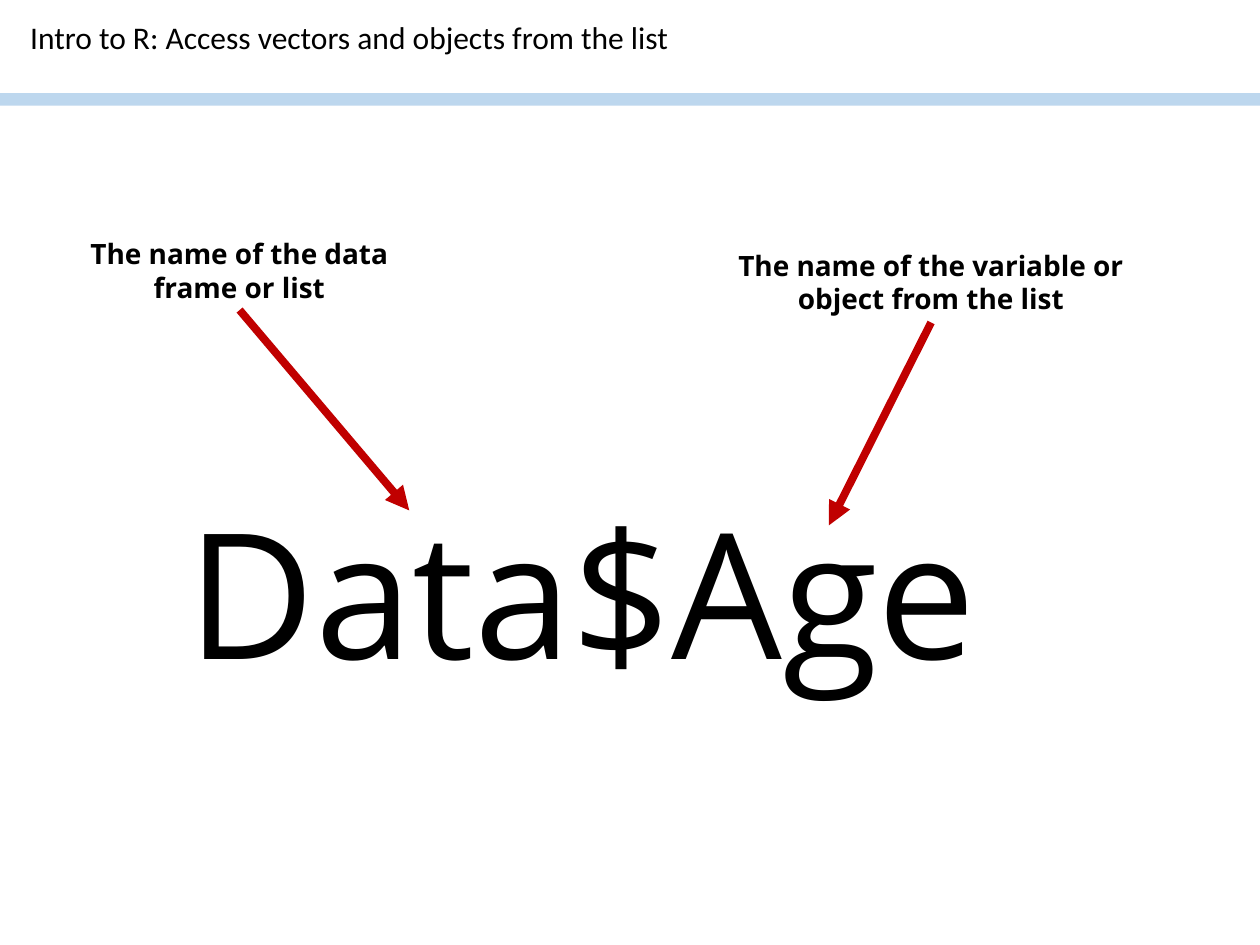
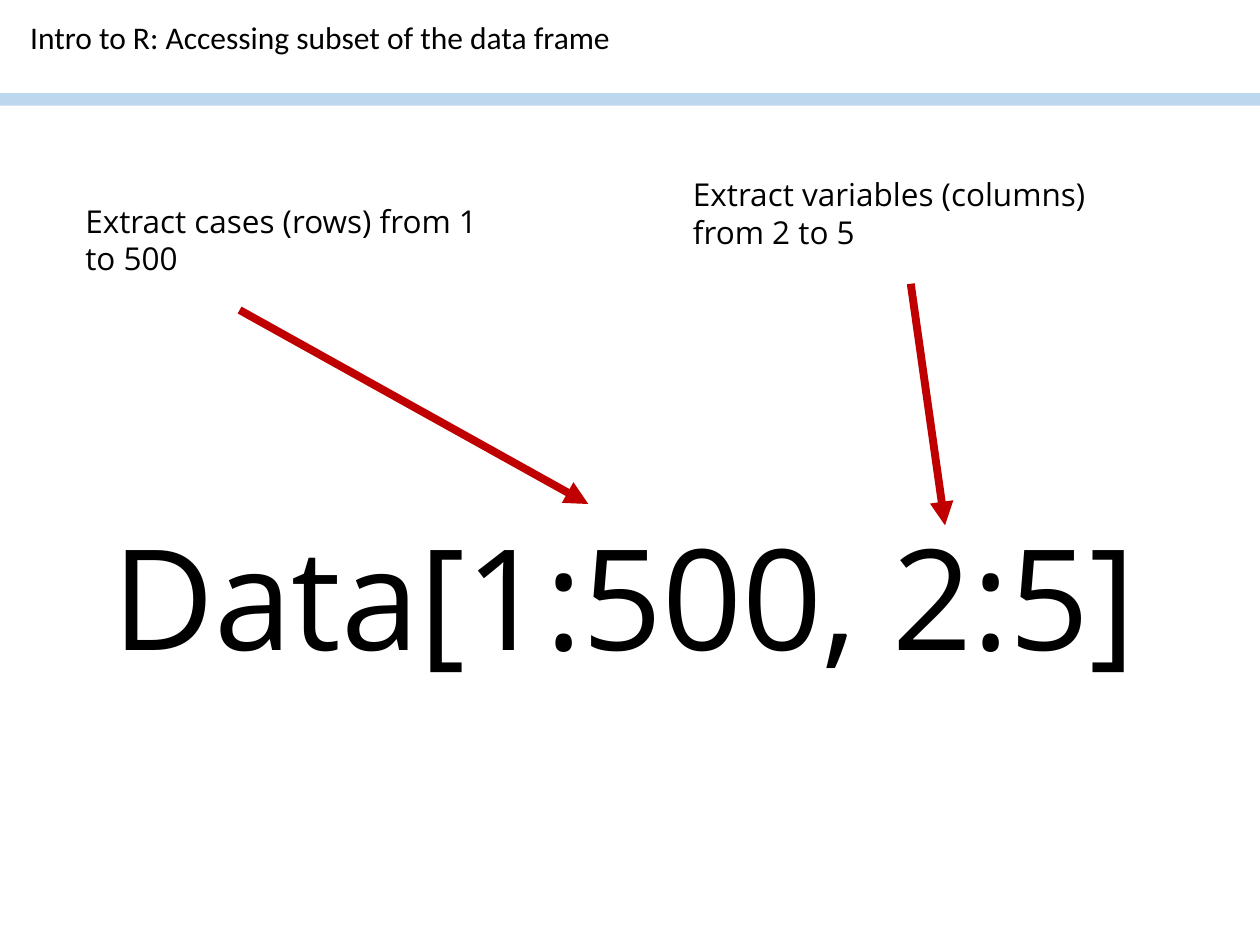
from lxml import etree
from pptx import Presentation
from pptx.dml.color import RGBColor
from pptx.enum.shapes import MSO_CONNECTOR, MSO_SHAPE
from pptx.enum.text import MSO_AUTO_SIZE, PP_ALIGN
from pptx.oxml.ns import qn
from pptx.util import Cm, Pt

BLACK = RGBColor(0x00, 0x00, 0x00)
BLUE = RGBColor(0xBD, 0xD7, 0xEE)
RED = RGBColor(0xC0, 0x00, 0x00)
RECT = MSO_SHAPE.RECTANGLE
LINE = MSO_CONNECTOR.STRAIGHT
FIT = MSO_AUTO_SIZE.SHAPE_TO_FIT_TEXT
FIXED = MSO_AUTO_SIZE.NONE
LEFT, CENTER = PP_ALIGN.LEFT, PP_ALIGN.CENTER

# Each label: text, box; each arrow: start x, y, end x, y (all in cm)
SLIDES = [
    {
        "title": "Intro to R: Access vectors and objects from the list",
        "code": ("Data$Age", (1.47, 9.65, 20.52, 4.52), 100),
        "labels": [
            ("The name of the data frame or list", (0.66, 4.65, 8.33, 1.62)),
            ("The name of the variable or object from the list",
             (14.6, 4.88, 8.33, 1.62)),
        ],
        "style": (16, True, CENTER),
        "arrows": [(4.83, 6.25, 8.25, 10.29), (18.77, 6.5, 16.71, 10.59)],
    },
    {
        "title": "Intro to R: Accessing subset of the data frame",
        "code": ("Data[1:500, 2:5]", (2.01, 10.16, 21.39, 3.68), 80),
        "labels": [
            ("Extract cases (rows) from 1 to 500", (1.47, 3.94, 8.69, 2.31)),
            ("Extract variables (columns) from 2 to 5",
             (13.72, 3.4, 9.32, 2.31)),
        ],
        "style": (18, False, LEFT),
        "arrows": [(4.83, 6.25, 11.86, 10.16), (18.36, 5.72, 19.05, 10.59)],
    },
]


def add_text(slide, text, box, size, bold=False, align=LEFT,
             face="Open Sans", grow=FIT):
    frame = slide.shapes.add_textbox(*map(Cm, box)).text_frame
    frame.text = text
    frame.word_wrap = True
    frame.auto_size = grow
    para = frame.paragraphs[0]
    para.alignment = align
    font = para.runs[0].font
    font.name, font.size, font.bold = face, Pt(size), bold
    font.color.rgb = BLACK
    return para


def add_arrow(slide, ends):
    arrow = slide.shapes.add_connector(LINE, *map(Cm, ends))
    arrow.line.color.rgb = RED
    arrow.line.width = Pt(4.5)
    props = arrow.line._get_or_add_ln()
    etree.SubElement(props, qn("a:tailEnd"), type="triangle")
    etree.SubElement(arrow._element.spPr, qn("a:effectLst"))


deck = Presentation()
deck.slide_width, deck.slide_height = Cm(25.4), Cm(19.05)
blank = deck.slide_layouts[6]

for page in SLIDES:
    slide = deck.slides.add_slide(blank)

    band = slide.shapes.add_shape(RECT, 0, Cm(1.88), deck.slide_width, Cm(0.25))
    band.shadow.inherit = False
    band.fill.solid()
    band.fill.fore_color.rgb = BLUE
    band.line.fill.background()

    title = add_text(slide, page["title"], (0.36, 0.33, 24.46, 1.52), 18,
                     face="Calibri", grow=FIXED)
    title.line_spacing = 0.9

    size, bold, align = page["style"]
    code, box, big = page["code"]
    add_text(slide, code, box, big, align=align)
    for (label, box), ends in zip(page["labels"], page["arrows"]):
        add_text(slide, label, box, size, bold, align)
        add_arrow(slide, ends)

deck.save("out.pptx")
